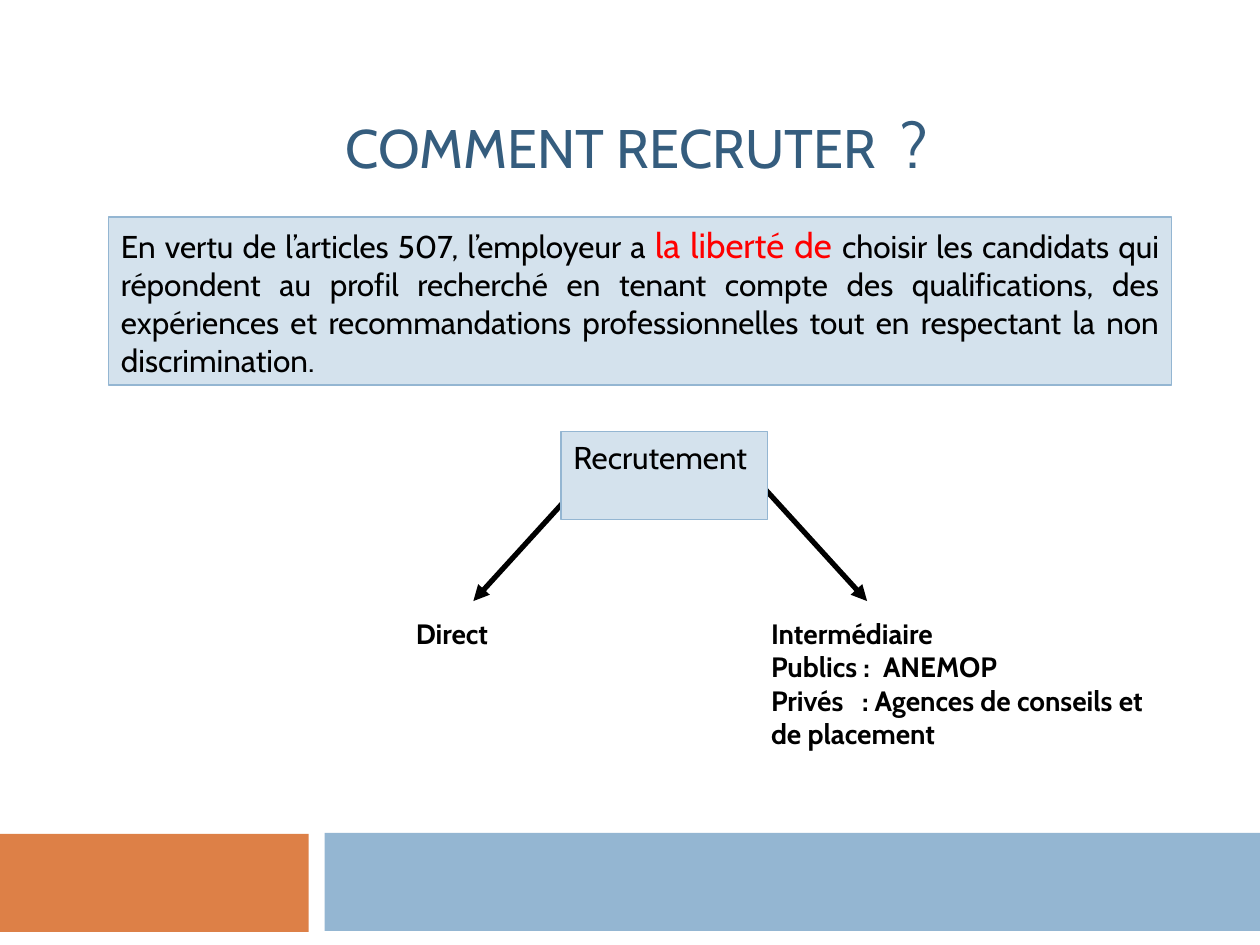
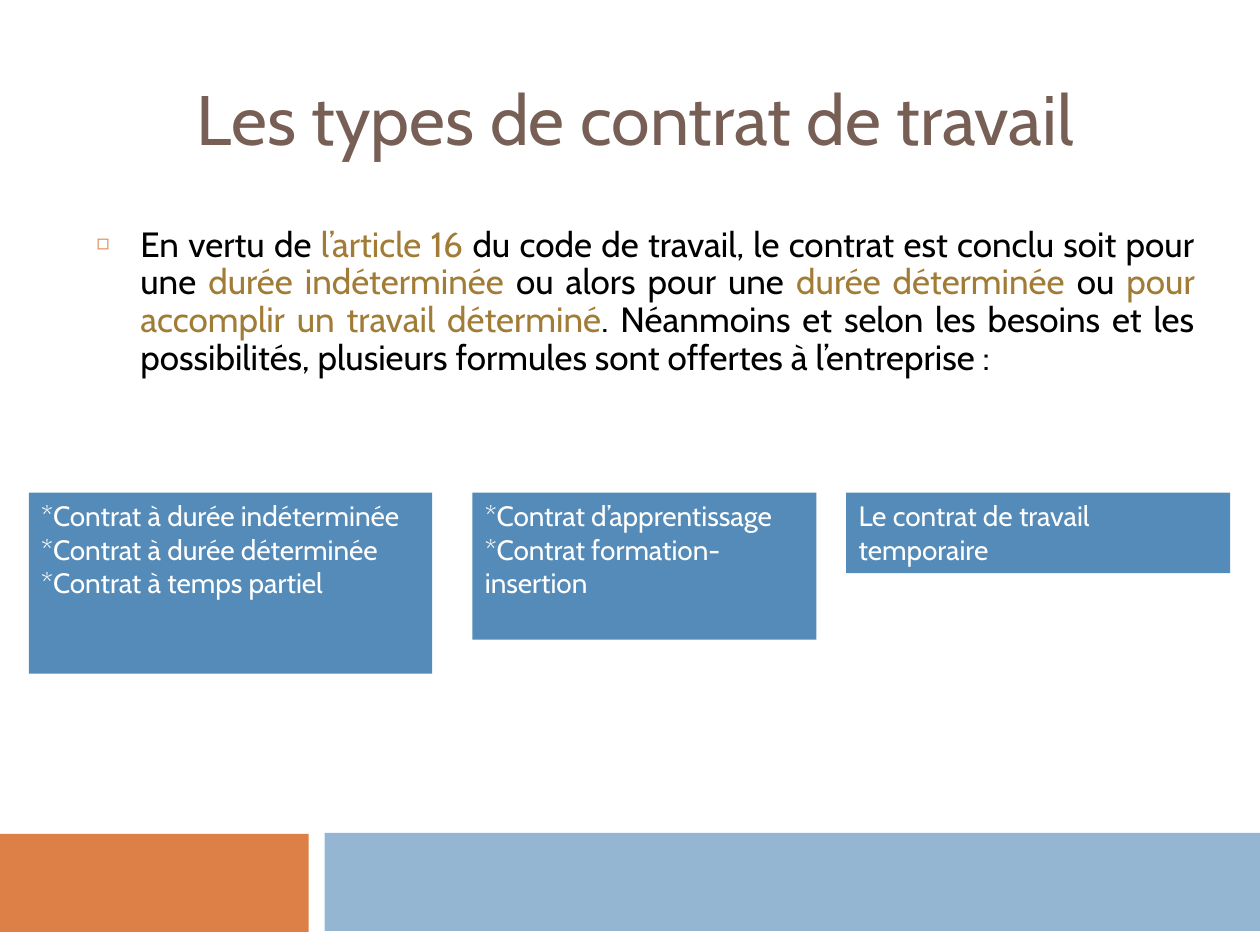
from lxml import etree
from pptx import Presentation
from pptx.dml.color import RGBColor
from pptx.enum import shapes, text
from pptx.oxml import ns
from pptx.util import Pt

FONT = "Cabin"
BLACK, WHITE, RED = "000000", "FFFFFF", "FF0000"
ORANGE, SKY, PALE, BLUE = "DD8047", "94B6D2", "D4E2ED", "558BB8"
NAVY, BROWN, GOLD = "355D7E", "775F55", "A17C36"


def color(hex_string):
    return RGBColor.from_string(hex_string)


def add_xml(parent, tag, **attributes):
    return etree.SubElement(parent, ns.qn(tag), attributes)


# Text helpers
def format_run(run, size, hex_string, bold=False, font=FONT):
    run.font.name = font
    run.font.size = Pt(size)
    run.font.bold = bold
    run.font.color.rgb = color(hex_string)


def add_runs(paragraph, parts):
    """Each part is (text, size, colour)."""
    for words, size, hex_string in parts:
        run = paragraph.add_run()
        run.text = words
        format_run(run, size, hex_string)


def prepare_frame(shape, anchor=text.MSO_ANCHOR.TOP):
    frame = shape.text_frame
    frame.word_wrap = True
    frame.auto_size = text.MSO_AUTO_SIZE.NONE
    frame.vertical_anchor = anchor
    return frame


def write_lines(shape, lines, size, hex_string, bold=False):
    frame = prepare_frame(shape)
    frame.text = "\n".join(lines)
    for paragraph in frame.paragraphs:
        paragraph.alignment = text.PP_ALIGN.LEFT
        for run in paragraph.runs:
            format_run(run, size, hex_string, bold)
    return frame


def add_tab_stop(paragraph, position):
    tabs = add_xml(paragraph._p.get_or_add_pPr(), "a:tabLst")
    add_xml(tabs, "a:tab", pos=str(Pt(position)), algn="l")


# Shape helpers
def place(shape, box):
    shape.left, shape.top, shape.width, shape.height = map(Pt, box)


def add_box(slide, box, fill, line=None):
    shape = slide.shapes.add_shape(shapes.MSO_SHAPE.RECTANGLE, *map(Pt, box))
    shape.shadow.inherit = False
    shape.fill.solid()
    shape.fill.fore_color.rgb = color(fill)
    if line:
        shape.line.color.rgb = color(line)
        shape.line.width = Pt(0.75)
    else:
        shape.line.fill.background()
    return shape


def add_arrow(slide, start, end):
    arrow = slide.shapes.add_connector(
        shapes.MSO_CONNECTOR.STRAIGHT, *map(Pt, (*start, *end)))
    arrow.line.color.rgb = color(BLACK)
    arrow.line.width = Pt(3)
    add_xml(arrow.line._get_or_add_ln(), "a:tailEnd", type="triangle")
    add_xml(arrow._element.spPr, "a:effectLst")


# Shared slide parts
def add_slide(presentation, layout_index):
    slide = presentation.slides.add_slide(presentation.slide_layouts[layout_index])
    for placeholder in list(slide.placeholders):
        if placeholder.placeholder_format.idx > 1:
            placeholder._element.getparent().remove(placeholder._element)
    add_box(slide, (-0.5, 476.5, 177, 56), ORANGE)
    add_box(slide, (185.5, 476, 534.5, 56), SKY)
    return slide


def fill_title(slide, box, parts, anchor):
    title = slide.shapes.title
    place(title, box)
    paragraph = prepare_frame(title, anchor).paragraphs[0]
    paragraph.alignment = text.PP_ALIGN.CENTER
    add_runs(paragraph, parts)
    return paragraph


# Slide 1: recruitment
def add_legal_basis(slide, box):
    shape = add_box(slide, box, PALE, SKY)
    paragraph = prepare_frame(shape).paragraphs[0]
    paragraph.alignment = text.PP_ALIGN.JUSTIFY
    add_runs(paragraph, [
        ("En vertu de l’articles 507, l’employeur a ", 18, BLACK),
        ("la liberté de ", 20, RED),
        ("choisir les candidats qui répondent au profil recherché en tenant "
         "compte des qualifications, des expériences et recommandations "
         "professionnelles tout en respectant la non discrimination.", 18, BLACK),
    ])


def add_recruitment_tree(slide, box):
    left, top, width, height = box
    # Mirrored arrows, partly behind the root box
    center = left + 152.5
    for side in (-1, 1):
        add_arrow(slide, (center + side * 51, top + 29.5),
                  (center + side * 112.5, top + 97))
    root = add_box(slide, (left + 90, top, 118, 50.5), PALE, SKY)
    write_lines(root, ["Recrutement"], 18, BLACK)

    # Branches
    branch_top = top + 102
    direct = slide.shapes.add_textbox(
        *map(Pt, (left, branch_top, 68, 26.5)))
    write_lines(direct, ["Direct"], 16, BLACK, bold=True)
    agents_left = left + 203
    agents = slide.shapes.add_textbox(
        *map(Pt, (agents_left, branch_top, left + width - agents_left,
                  top + height - branch_top)))
    frame = write_lines(agents, [
        "Intermédiaire",
        "Publics :\tANEMOP",
        "Privés\t: Agences de conseils et de placement",
    ], 16, BLACK, bold=True)
    add_tab_stop(frame.paragraphs[1], 64)
    add_tab_stop(frame.paragraphs[2], 52)


def build_recruitment(presentation):
    slide = add_slide(presentation, 5)
    paragraph = fill_title(
        slide, (66, 39.5, 596, 68),
        [("COMMENT RECRUTER", 31, NAVY), (" ", 31, NAVY), ("?", 36, NAVY)],
        text.MSO_ANCHOR.BOTTOM)
    paragraph.line_spacing = 0.9
    paragraph.space_before = Pt(22.5)
    # Wider gap before the question mark
    paragraph.runs[1].font._element.set("spc", "700")
    add_legal_basis(slide, (62, 124, 607.5, 96))
    add_recruitment_tree(slide, (230.5, 246.5, 445, 186))


# Slide 2: contract types
def fill_introduction(slide, box):
    body = slide.placeholders[1]
    place(body, box)
    paragraph = prepare_frame(body).paragraphs[0]
    paragraph.alignment = text.PP_ALIGN.JUSTIFY
    properties = paragraph._p.get_or_add_pPr()
    properties.set("marL", str(Pt(25)))
    properties.set("indent", str(-Pt(25)))
    bullet_color = add_xml(properties, "a:buClr")
    add_xml(bullet_color, "a:srgbClr", val=ORANGE)
    add_xml(properties, "a:buSzPct", val="60000")
    add_xml(properties, "a:buChar", char="◻")
    paragraph.line_spacing = 0.9
    paragraph.space_before = Pt(7)
    phrases = [
        "En vertu de ", "l’article 16 ",
        "du code de travail, le contrat est conclu soit pour une ",
        "durée indéterminée ", "ou alors pour une ", "durée déterminée ", "ou ",
        "pour accomplir un travail déterminé",
        ". Néanmoins et selon les besoins et les possibilités, plusieurs "
        "formules sont offertes à l’entreprise :",
    ]
    # Every second phrase is highlighted
    add_runs(paragraph, [(phrase, 20, GOLD if index % 2 else BLACK)
                         for index, phrase in enumerate(phrases)])


def add_contract_groups(slide, box):
    left, top, _, full_height = box
    groups = [
        (0, 230.5, full_height, ["*Contrat à durée indéterminée",
                                 "*Contrat à durée déterminée",
                                 "*Contrat à temps partiel"]),
        (253.5, 196.5, 84, ["*Contrat d’apprentissage",
                            "*Contrat formation-insertion"]),
        (467, 219.5, 46, ["Le contrat de travail temporaire"]),
    ]
    for offset, width, height, lines in groups:
        shape = add_box(slide, (left + offset, top, width, height), BLUE)
        write_lines(shape, lines, 16, WHITE)


def build_contract_types(presentation):
    slide = add_slide(presentation, 1)
    fill_title(slide, (90, 28, 546, 78),
               [("Les types de contrat de travail", 40, BROWN)],
               text.MSO_ANCHOR.MIDDLE)
    fill_introduction(slide, (48, 126, 642, 122))
    add_contract_groups(slide, (16.5, 281.5, 686.5, 103.5))


def main():
    presentation = Presentation()
    presentation.slide_width, presentation.slide_height = Pt(720), Pt(540)
    build_recruitment(presentation)
    build_contract_types(presentation)
    presentation.save("out.pptx")


if __name__ == "__main__":
    main()
